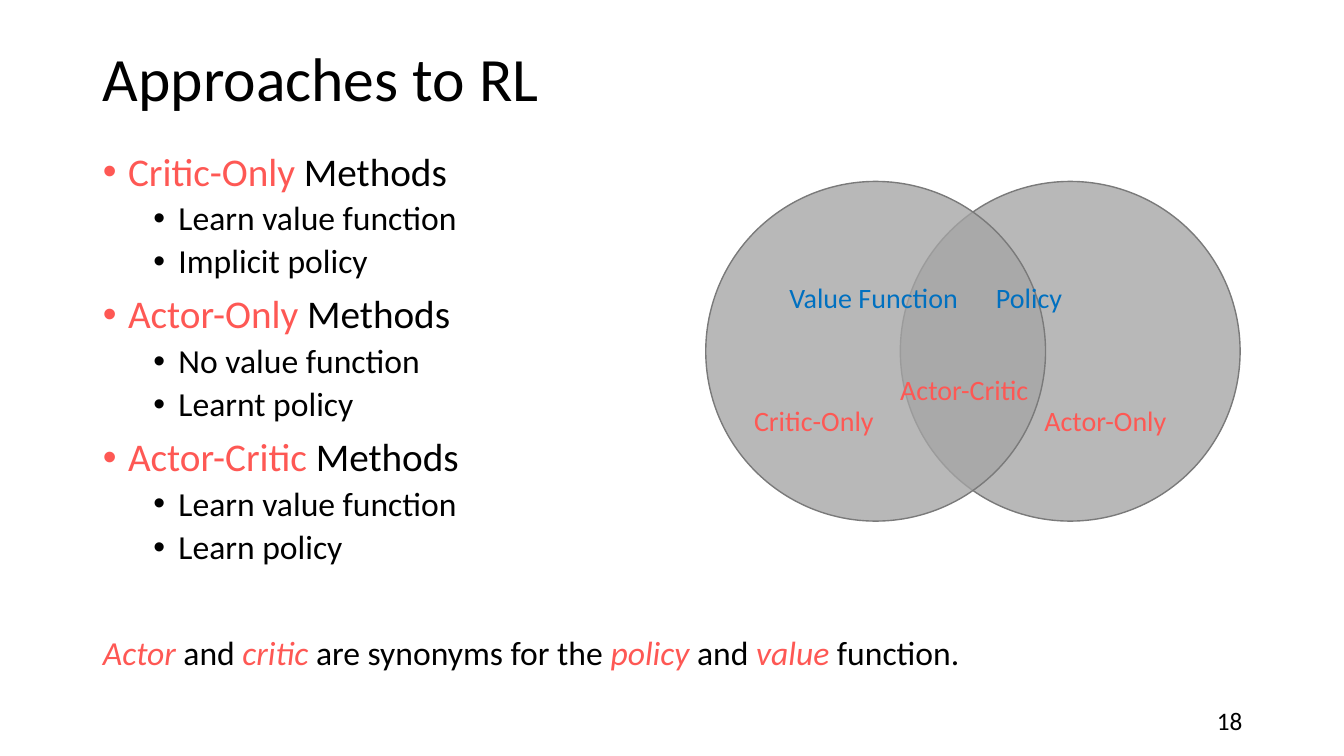
from dataclasses import dataclass

from lxml import etree
from pptx import Presentation
from pptx.dml.color import RGBColor
from pptx.enum.shapes import MSO_SHAPE
from pptx.enum.text import MSO_ANCHOR, MSO_AUTO_SIZE, PP_ALIGN
from pptx.oxml.ns import qn
from pptx.util import Inches, Pt

OVAL = MSO_SHAPE.OVAL
MIDDLE, TOP = MSO_ANCHOR.MIDDLE, MSO_ANCHOR.TOP
LEFT, RIGHT = PP_ALIGN.LEFT, PP_ALIGN.RIGHT
NO_AUTOFIT = MSO_AUTO_SIZE.NONE


@dataclass(frozen=True)
class Theme:
    """Colours, font and type sizes of the slide."""
    font: str = "Calibri"
    text: str = "000000"
    accent: str = "FE5854"
    blue: str = "0070C0"
    circle: str = "A5A5A5"
    outline: str = "7A7A7A"
    title_size: int = 44
    topic_size: int = 28
    detail_size: int = 24
    label_size: int = 20
    number_size: int = 18


THEME = Theme()

METHODS = [
    ("Critic-Only", ["Learn value function", "Implicit policy"]),
    ("Actor-Only", ["No value function", "Learnt policy"]),
    ("Actor-Critic", ["Learn value function", "Learn policy"]),
]
SUMMARY = [
    ("Actor", True), (" and ", False), ("critic", True),
    (" are synonyms for the ", False), ("policy", True),
    (" and ", False), ("value", True), (" function.", False),
]
VENN_LABELS = [
    ("Value Function", 0.73, 0.93, THEME.blue),
    ("Policy", 2.78, 0.93, THEME.blue),
    ("Critic-Only", 0.38, 2.15, THEME.accent),
    ("Actor-Only", 3.26, 2.15, THEME.accent),
    ("Actor-Critic", 1.83, 1.85, THEME.accent),
]


def add_text(paragraph, text, size, color=THEME.text, italic=False):
    """Append a formatted run to a paragraph."""
    run = paragraph.add_run()
    run.text = text
    run.font.name = THEME.font
    run.font.size = Pt(size)
    run.font.italic = italic
    run.font.color.rgb = RGBColor.from_string(color)


def place(shape, left, top, width, height):
    """Move and resize a shape, in inches."""
    shape.left, shape.top = Inches(left), Inches(top)
    shape.width, shape.height = Inches(width), Inches(height)


def format_paragraph(paragraph, level=0, margin=0.0, bullet=True, before=0):
    """Set the level, bullet, indent and spacing of a body paragraph."""
    properties = paragraph._p.get_or_add_pPr()
    properties.set("marL", str(Inches(margin)))
    properties.set("indent", str(Inches(-0.25 if bullet else 0)))
    if bullet:
        etree.SubElement(properties, qn("a:buFont")).set("typeface", "Arial")
        etree.SubElement(properties, qn("a:buChar")).set("char", "•")
    else:
        etree.SubElement(properties, qn("a:buNone"))
    paragraph.level = level
    paragraph.line_spacing = 0.9
    paragraph.space_before = Pt(before)


def add_title(slide, left, top, width, height):
    """Fill the title placeholder."""
    title = slide.shapes.title
    place(title, left, top, width, height)
    frame = title.text_frame
    frame.auto_size = NO_AUTOFIT
    frame.vertical_anchor = MIDDLE
    paragraph = frame.paragraphs[0]
    paragraph.alignment = LEFT
    paragraph.line_spacing = 0.9
    add_text(paragraph, "Approaches to RL", size=THEME.title_size)


def add_methods(slide, left, top, width, height):
    """Fill the body placeholder with the methods and the summary line."""
    body = slide.placeholders[1]
    place(body, left, top, width, height)
    frame = body.text_frame
    frame.auto_size = NO_AUTOFIT
    frame.vertical_anchor = TOP
    for index, (name, details) in enumerate(METHODS):
        topic = frame.add_paragraph() if index else frame.paragraphs[0]
        format_paragraph(topic, margin=0.25, before=10 if index else 0)
        add_text(topic, name, size=THEME.topic_size, color=THEME.accent)
        add_text(topic, " Methods", size=THEME.topic_size)
        for detail in details:
            paragraph = frame.add_paragraph()
            format_paragraph(paragraph, level=1, margin=0.75, before=5)
            add_text(paragraph, detail, size=THEME.detail_size)
    summary = frame.add_paragraph()
    format_paragraph(summary, bullet=False, before=50)
    for text, emphasized in SUMMARY:
        add_text(summary, text, size=THEME.detail_size, italic=emphasized,
                 color=THEME.accent if emphasized else THEME.text)


def add_label(slide, text, left, top, width, height, size, color=THEME.text,
              alignment=LEFT, anchor=TOP):
    """Add a one-line text box."""
    box = slide.shapes.add_textbox(
        Inches(left), Inches(top), Inches(width), Inches(height))
    frame = box.text_frame
    frame.word_wrap = True
    frame.vertical_anchor = anchor
    paragraph = frame.paragraphs[0]
    paragraph.alignment = alignment
    add_text(paragraph, text, size=size, color=color)


def add_venn(slide, left, top, width, height):
    """Draw two overlapping translucent circles and their labels."""
    for circle_left in (left + width - height, left):
        circle = slide.shapes.add_shape(
            OVAL, Inches(circle_left), Inches(top), Inches(height), Inches(height))
        circle.shadow.inherit = False
        circle.fill.solid()
        circle.fill.fore_color.rgb = RGBColor.from_string(THEME.circle)
        color = circle.fill._xPr.find(qn("a:solidFill")).find(qn("a:srgbClr"))
        etree.SubElement(color, qn("a:alpha")).set("val", "79000")
        circle.line.color.rgb = RGBColor.from_string(THEME.outline)
        circle.line.width = Pt(1)
    for text, across, down, color in VENN_LABELS:
        add_label(slide, text, left + across, top + down, 1.91, 0.44,
                  size=THEME.label_size, color=color)


def main():
    """Build and save the presentation."""
    presentation = Presentation()
    presentation.slide_width = Inches(13.33)
    presentation.slide_height = Inches(7.5)
    slide = presentation.slides.add_slide(presentation.slide_layouts[1])
    add_title(slide, 0.92, 0.4, 11.5, 0.82)
    add_methods(slide, 0.92, 1.46, 11.27, 5.49)
    add_label(slide, "18", 9.42, 6.95, 3, 0.4, size=THEME.number_size,
              alignment=RIGHT, anchor=MIDDLE)
    add_venn(slide, 7, 1.8, 5.3, 3.37)
    presentation.save("out.pptx")


if __name__ == "__main__":
    main()
